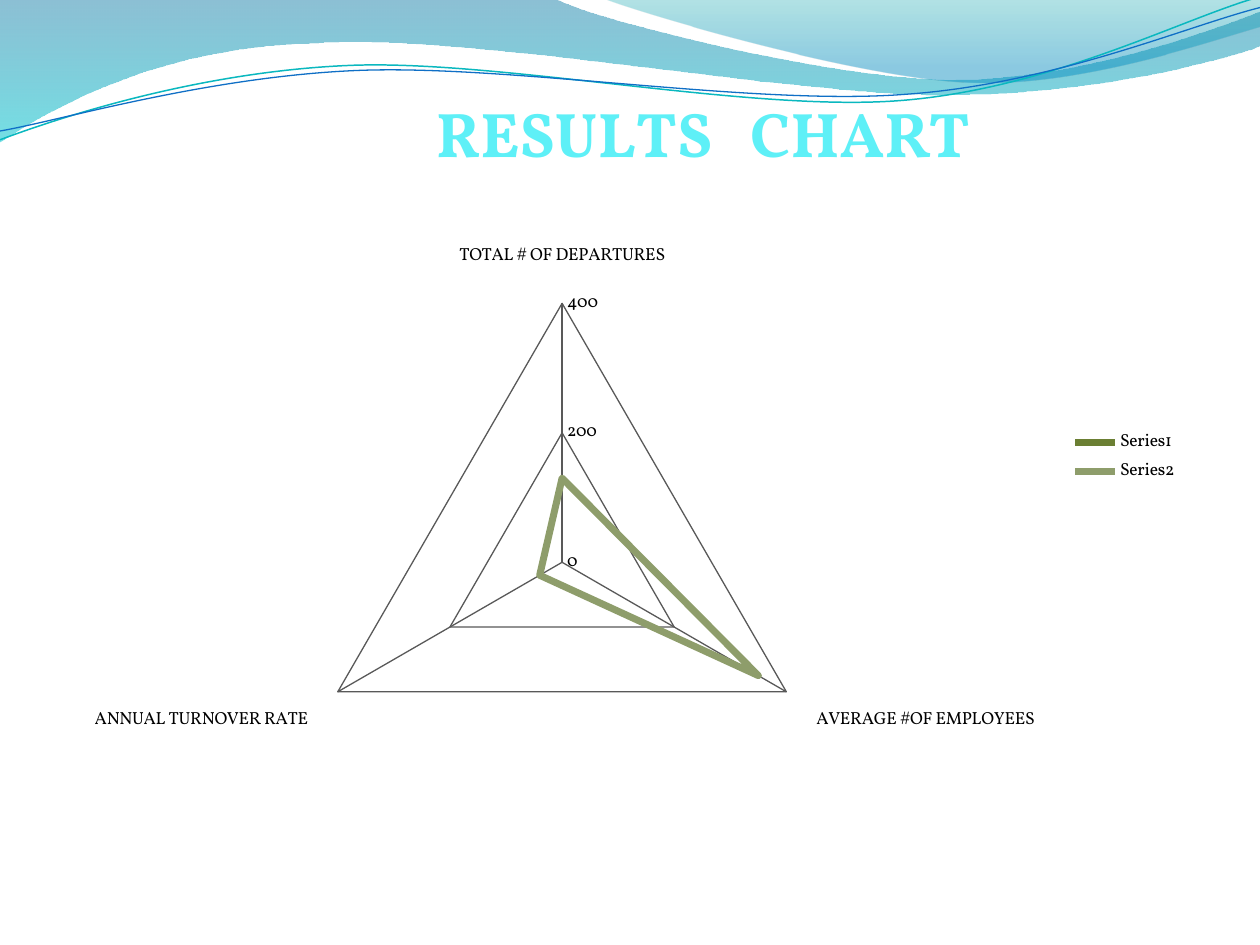
from lxml import etree
from pptx import Presentation, util as u
from pptx.chart.data import CategoryChartData
from pptx.dml.color import RGBColor
from pptx.enum import chart as chart_enum
from pptx.oxml import ns

FONT = "Vollkorn"
BLACK = RGBColor(0x00, 0x00, 0x00)
GRID_GRAY = RGBColor(0x59, 0x59, 0x59)
TITLE_CYAN = RGBColor(0x5E, 0xF0, 0xF7)
OLIVE = RGBColor(0x6B, 0x7F, 0x33)
LIGHT_OLIVE = RGBColor(0x8E, 0x9D, 0x6B)
DEEP_BLUE = RGBColor(0x00, 0x74, 0xA1)
TURQUOISE = RGBColor(0x00, 0xC6, 0xCF)
DARK_TEAL = RGBColor(0x00, 0xA1, 0xA9)
SKY_BLUE = RGBColor(0x00, 0x8B, 0xBF)
LINE_TEAL = RGBColor(0x0A, 0xB8, 0xBF)
LINE_BLUE = RGBColor(0x0F, 0x6F, 0xC6)

WIDE_WAVE = [
    (0, 0), (4.4, -0.01),
    (4.76, 0.17, 6.64, 0.63, 7.58, 0.63), (8.53, 0.63, 9.58, 0.26, 10, 0.09),
    (10.01, 0.36),
    (9.83, 0.44, 8.7, 0.76, 7.46, 0.75), (6.22, 0.75, 3.82, 0.28, 2.57, 0.34),
    (1.29, 0.36, 0.46, 0.83, -0.01, 1.13), (0, 0),
]
RIGHT_WAVE = [
    (4.79, -0.01),
    (5.09, 0.11, 6.82, 0.62, 7.69, 0.65), (8.56, 0.69, 9.61, 0.32, 10, 0.21),
    (10, 0), (4.79, -0.01),
]
TEAL_LINE = [
    (0, 1.11),
    (0.48, 0.93, 1.58, 0.57, 2.77, 0.52), (3.95, 0.47, 5.93, 0.89, 7.13, 0.8),
    (8.33, 0.71, 9.38, 0.15, 9.98, -0.02),
]
BLUE_LINE = [
    (0, 1.04),
    (0.47, 0.96, 1.64, 0.61, 2.83, 0.56), (4.03, 0.51, 5.97, 0.84, 7.17, 0.75),
    (8.36, 0.67, 9.41, 0.21, 10, 0.06),
]


def bend_segments(shape, left, top, segments):
    lines = shape.element.spPr.findall(".//" + ns.qn("a:lnTo"))
    for line, segment in zip(lines, segments[1:]):
        if len(segment) == 2:
            continue
        curve = etree.Element(ns.qn("a:cubicBezTo"))
        for x, y in zip(segment[::2], segment[1::2]):
            point = etree.SubElement(curve, ns.qn("a:pt"))
            point.set("x", str(left + u.Inches(x) - shape.left))
            point.set("y", str(top + u.Inches(y) - shape.top))
        line.getparent().replace(line, curve)


def add_outline(slide, left, top, segments, close):
    anchors = [(left + u.Inches(segment[-2]), top + u.Inches(segment[-1]))
               for segment in segments]
    builder = slide.shapes.build_freeform(*anchors[0], scale=1.0)
    builder.add_line_segments(anchors[1:], close=close)
    shape = builder.convert_to_shape()
    shape.shadow.inherit = False
    bend_segments(shape, left, top, segments)
    return shape


def add_wave(slide, left, top, segments, stops):
    shape = add_outline(slide, left, top, segments, True)
    shape.line.fill.background()
    shape.fill.gradient()
    shape.fill.gradient_angle = 270
    for stop, (position, color, _) in zip(shape.fill.gradient_stops, stops):
        stop.position = position
        stop.color.rgb = color
    colors = shape.element.spPr.findall(".//" + ns.qn("a:srgbClr"))
    for color_element, (_, _, opacity) in zip(colors, stops):
        alpha = etree.SubElement(color_element, ns.qn("a:alpha"))
        alpha.set("val", str(opacity * 1000))


def add_wave_line(slide, left, top, segments, color, width):
    shape = add_outline(slide, left, top, segments, False)
    shape.fill.background()
    shape.line.color.rgb = color
    shape.line.width = u.Pt(width)


def add_header(slide, left, top):
    add_wave(slide, left, top, WIDE_WAVE, [(0, DEEP_BLUE, 45), (1, TURQUOISE, 55)])
    add_wave(slide, left, top, RIGHT_WAVE, [(0, DARK_TEAL, 30), (0.8, SKY_BLUE, 45)])
    add_wave_line(slide, left, top, TEAL_LINE, LINE_TEAL, 0.85)
    add_wave_line(slide, left, top, BLUE_LINE, LINE_BLUE, 0.75)


def set_layout(parent, index, **values):
    for old in parent.findall(ns.qn("c:layout")):
        parent.remove(old)
    layout = etree.Element(ns.qn("c:layout"))
    manual = etree.SubElement(layout, ns.qn("c:manualLayout"))
    if "w" in values:
        etree.SubElement(manual, ns.qn("c:layoutTarget")).set("val", "inner")
    for name in ("xMode", "yMode"):
        etree.SubElement(manual, ns.qn("c:" + name)).set("val", "edge")
    for name, value in values.items():
        etree.SubElement(manual, ns.qn("c:" + name)).set("val", str(value))
    parent.insert(index, layout)


def style_title(chart):
    chart.has_title = True
    frame = chart.chart_title.text_frame
    frame.text = "RESULTS   CHART "
    font = frame.paragraphs[0].runs[0].font
    font.name = FONT
    font.size = u.Pt(36)
    font.bold = True
    font.color.rgb = TITLE_CYAN
    set_layout(chart.chart_title.element, 1, x=0.323, y=0)


def style_axes(chart):
    for axis in (chart.category_axis, chart.value_axis):
        axis.has_major_gridlines = True
        axis.major_gridlines.format.line.color.rgb = GRID_GRAY
        axis.major_gridlines.format.line.width = u.Pt(0.75)
        axis.major_tick_mark = chart_enum.XL_TICK_MARK.NONE
        axis.minor_tick_mark = chart_enum.XL_TICK_MARK.NONE
    chart.category_axis.format.line.fill.background()
    value_axis = chart.value_axis
    value_axis.minimum_scale = 0
    value_axis.maximum_scale = 400
    value_axis.major_unit = 200
    value_axis.format.line.color.rgb = GRID_GRAY
    value_axis.format.line.width = u.Pt(0.75)


def style_series(chart):
    chart.plots[0].vary_by_categories = False
    for series, color in zip(chart.plots[0].series, (OLIVE, LIGHT_OLIVE)):
        series.smooth = False
        series.marker.style = chart_enum.XL_MARKER_STYLE.NONE
        series.format.line.color.rgb = color
        series.format.line.width = u.Pt(4)
    for name in chart.element.findall(".//" + ns.qn("c:ser") + "/" + ns.qn("c:tx")):
        name.getparent().remove(name)


def add_results_chart(slide, left, top, width, height):
    data = CategoryChartData()
    data.categories = ["TOTAL # OF DEPARTURES", "AVERAGE #OF EMPLOYEES", "ANNUAL TURNOVER RATE"]
    data.add_series("", [None, None, None])
    data.add_series("", [130, 350, 40])
    chart = slide.shapes.add_chart(
        chart_enum.XL_CHART_TYPE.RADAR, left, top, width, height, data).chart
    chart.font.name = FONT
    chart.font.size = u.Pt(10)
    chart.font.color.rgb = BLACK
    style_title(chart)
    style_axes(chart)
    style_series(chart)
    chart.has_legend = True
    chart.legend.position = chart_enum.XL_LEGEND_POSITION.RIGHT
    chart.legend.include_in_layout = False
    plot_area = chart.element.find(".//" + ns.qn("c:plotArea"))
    set_layout(plot_area, 0, x=0.2155, y=0.297, w=0.458, h=0.683)


def main():
    presentation = Presentation()
    presentation.slide_width = u.Inches(10)
    presentation.slide_height = u.Inches(7.5)
    slide = presentation.slides.add_slide(presentation.slide_layouts[6])
    add_header(slide, u.Inches(0), u.Inches(0))
    add_results_chart(slide, u.Inches(0.47), u.Inches(0.62), u.Inches(8.98), u.Inches(6.02))
    presentation.save("out.pptx")


if __name__ == "__main__":
    main()
